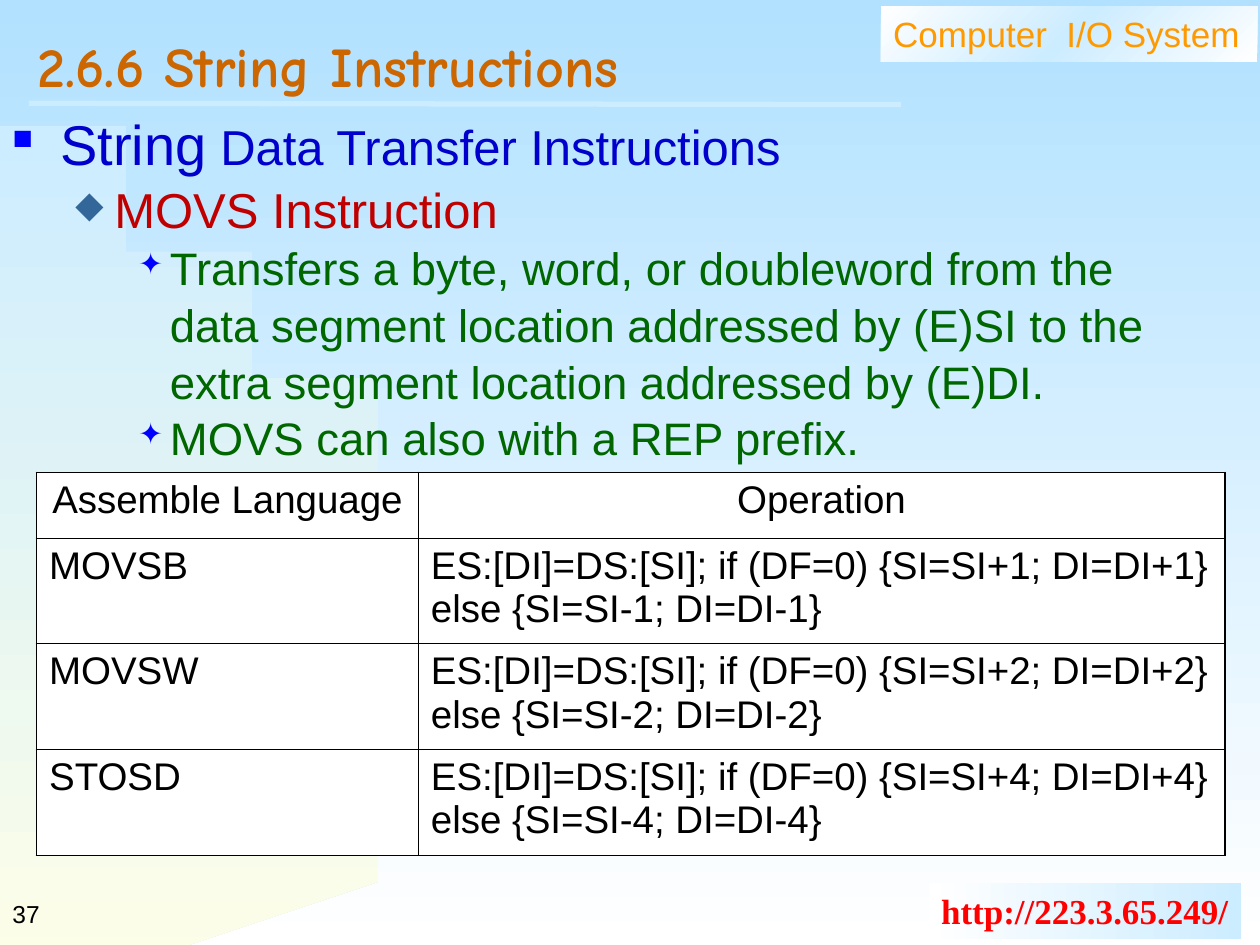
import math
from lxml import etree
from pptx import Presentation
from pptx import util as u
from pptx.dml.color import RGBColor
from pptx.enum import shapes, text
from pptx.oxml.ns import qn

WIDTH, HEIGHT = 10, 7.5
COLORS = {
    "sky": "B1E1FF", "ice": "CCECFF", "white": "FFFFFF", "cream": "FFFFE7",
    "orange": "FF9900", "rust": "CC6600", "red": "FF0000", "crimson": "C00000",
    "navy": "0000CC", "blue": "0000FF", "steel": "336699", "green": "006600",
    "black": "000000",
}
TITLE = "2.6.6 String Instructions"
COURSE = "Computer  I/O System"
SITE = "http://223.3.65.249/"
PAGE_NUMBER = "37"
LEVELS = [
    {"margin": 0.38, "hang": 0.38, "mark": "■", "color": "blue", "share": 50},
    {"margin": 0.81, "hang": 0.31, "mark": "◆", "color": "steel", "share": 75},
    {"margin": 1.25, "hang": 0.25, "mark": "✦", "color": "blue", "share": 65},
]
OUTLINE = [
    (0, [("String", 32, "navy"), (" Data Transfer Instructions", 28, "navy")]),
    (1, [("MOVS Instruction", 28, "crimson")]),
    (2, [("Transfers a byte, word, or doubleword from the data segment location "
          "addressed by (E)SI to the extra segment location addressed by (E)DI.",
          26, "green")]),
    (2, [("MOVS can also with a REP prefix.", 26, "green")]),
]
HEADER = ("Assemble Language", "Operation")
INSTRUCTIONS = [("MOVSB", 1), ("MOVSW", 2), ("STOSD", 4)]
OPERATION = ("ES:[DI]=DS:[SI]; if (DF=0) {{SI=SI+{0}; DI=DI+{0}}} "
             "else {{SI=SI-{0}; DI=DI-{0}}}")
COLUMN_WIDTHS = (3.03, 6.4)
HEADER_HEIGHT, ROW_HEIGHT = 0.52, 0.84
OUTER_LINE, INNER_LINE = 1.08, 0.45


def color(name):
    return RGBColor.from_string(COLORS[name])


def paint_gradient(fill, owner, names, angle):
    fill.gradient()
    gradient = next(owner.iter(qn("a:gradFill")))
    stops = gradient.find(qn("a:gsLst"))
    for stop in list(stops):
        stops.remove(stop)
    for index, name in enumerate(names):
        share = index * 100000 // (len(names) - 1)
        stop = etree.SubElement(stops, qn("a:gs"), pos=str(share))
        etree.SubElement(stop, qn("a:srgbClr"), val=COLORS[name])
    gradient.find(qn("a:lin")).set("ang", str(angle * 60000))


def add_span(para, words, size, name, font="Arial", bold=False):
    span = para.add_run()
    span.text = words
    span.font.size = u.Pt(size)
    span.font.name = font
    span.font.bold = bold
    span.font.color.rgb = color(name)


def prepare_frame(box, anchor=text.MSO_ANCHOR.TOP, wrap=True):
    frame = box.text_frame
    frame.word_wrap = wrap
    frame.vertical_anchor = anchor
    return frame


def add_text(page, area, anchor=text.MSO_ANCHOR.MIDDLE):
    box = page.shapes.add_textbox(*map(u.Inches, area))
    return prepare_frame(box, anchor)


def add_banner(page, area, names, angle, wrap):
    banner = page.shapes.add_shape(shapes.MSO_SHAPE.RECTANGLE, *map(u.Inches, area))
    banner.shadow.inherit = False
    banner.line.fill.background()
    paint_gradient(banner.fill, banner.element, names, angle)
    para = prepare_frame(banner, wrap=wrap).paragraphs[0]
    para.alignment = text.PP_ALIGN.LEFT
    return para


def add_hill(page, width=3.17, top=0.92, steps=60):
    height = HEIGHT - top
    arc = [(width * math.sin(turn), HEIGHT - height * math.cos(turn))
           for turn in (math.pi / 2 * step / steps for step in range(steps + 1))]
    builder = page.shapes.build_freeform(*arc[0], scale=u.Inches(1))
    builder.add_line_segments(arc[1:] + [(0, HEIGHT)], close=True)
    hill = builder.convert_to_shape()
    hill.shadow.inherit = False
    hill.line.fill.background()
    paint_gradient(hill.fill, hill.element, ["ice", "cream"], 90)


def add_rule(page):
    ends = map(u.Inches, (0.23, 0.82, 7.15, 0.83))
    rule = page.shapes.add_connector(shapes.MSO_CONNECTOR.STRAIGHT, *ends)
    rule.line.color.rgb = color("ice")
    rule.line.width = u.Pt(3)
    etree.SubElement(rule.element.spPr, qn("a:effectLst"))


def add_bullet(para, level):
    props = para._p.get_or_add_pPr()
    props.set("marL", str(u.Inches(level["margin"])))
    props.set("indent", str(-u.Inches(level["hang"])))
    tint = etree.SubElement(props, qn("a:buClr"))
    etree.SubElement(tint, qn("a:srgbClr"), val=COLORS[level["color"]])
    etree.SubElement(props, qn("a:buSzPct"), val=str(level["share"] * 1000))
    etree.SubElement(props, qn("a:buChar"), char=level["mark"])


def add_outline(page):
    frame = add_text(page, (0, 0.8, 9.65, 6.38), text.MSO_ANCHOR.TOP)
    for index, (depth, spans) in enumerate(OUTLINE):
        para = frame.add_paragraph() if index else frame.paragraphs[0]
        para.level = depth
        para.line_spacing = 1.04
        add_bullet(para, LEVELS[depth])
        for words, size, name in spans:
            add_span(para, words, size, name)


def add_borders(cell, outer_sides):
    props = cell._tc.get_or_add_tcPr()
    for index, side in enumerate("LRTB"):
        width = OUTER_LINE if side in outer_sides else INNER_LINE
        edge = etree.Element(qn("a:ln" + side), w=str(u.Pt(width)))
        paint = etree.SubElement(edge, qn("a:solidFill"))
        etree.SubElement(paint, qn("a:srgbClr"), val=COLORS["black"])
        props.insert(index, edge)


def add_instruction_table(page):
    rows = [HEADER] + [(name, OPERATION.format(step)) for name, step in INSTRUCTIONS]
    heights = [HEADER_HEIGHT] + [ROW_HEIGHT] * len(INSTRUCTIONS)
    area = (0.29, 3.75, sum(COLUMN_WIDTHS), sum(heights))
    table = page.shapes.add_table(len(rows), len(HEADER), *map(u.Inches, area)).table
    table.first_row = table.horz_banding = False
    for column, width in zip(table.columns, COLUMN_WIDTHS):
        column.width = u.Inches(width)
    for r, (row, height) in enumerate(zip(rows, heights)):
        table.rows[r].height = u.Inches(height)
        for c, words in enumerate(row):
            cell = table.cell(r, c)
            cell.fill.solid()
            cell.fill.fore_color.rgb = color("white")
            sides = "R" if c else "L"
            sides += "T" if r == 0 else "B" if r == len(rows) - 1 else ""
            add_borders(cell, sides)
            para = cell.text_frame.paragraphs[0]
            para.alignment = text.PP_ALIGN.LEFT if r else text.PP_ALIGN.CENTER
            add_span(para, words, 22, "black")


def main():
    deck = Presentation()
    deck.slide_width, deck.slide_height = u.Inches(WIDTH), u.Inches(HEIGHT)
    page = deck.slides.add_slide(deck.slide_layouts[6])
    paint_gradient(page.background.fill, page.element, ["sky", "white"], 90)
    add_hill(page)
    course = add_banner(page, (6.99, 0.05, 2.99, 0.44), ["white", "ice", "white"], 45, True)
    add_span(course, COURSE, 20, "orange")
    site = add_banner(page, (7.37, 7.01, 2.48, 0.44), ["white", "ice"], 0, False)
    add_span(site, SITE, 20, "red", "Times New Roman", True)
    add_rule(page)
    number = add_text(page, (0, 7, 2.08, 0.5)).paragraphs[0]
    add_span(number, PAGE_NUMBER, 14, "black")
    title = add_text(page, (0.2, 0.2, 9.55, 0.77)).paragraphs[0]
    title.line_spacing = 0.7
    add_span(title, TITLE, 32, "rust", "Comic Neue", True)
    add_instruction_table(page)
    add_outline(page)
    deck.save("out.pptx")


if __name__ == "__main__":
    main()
